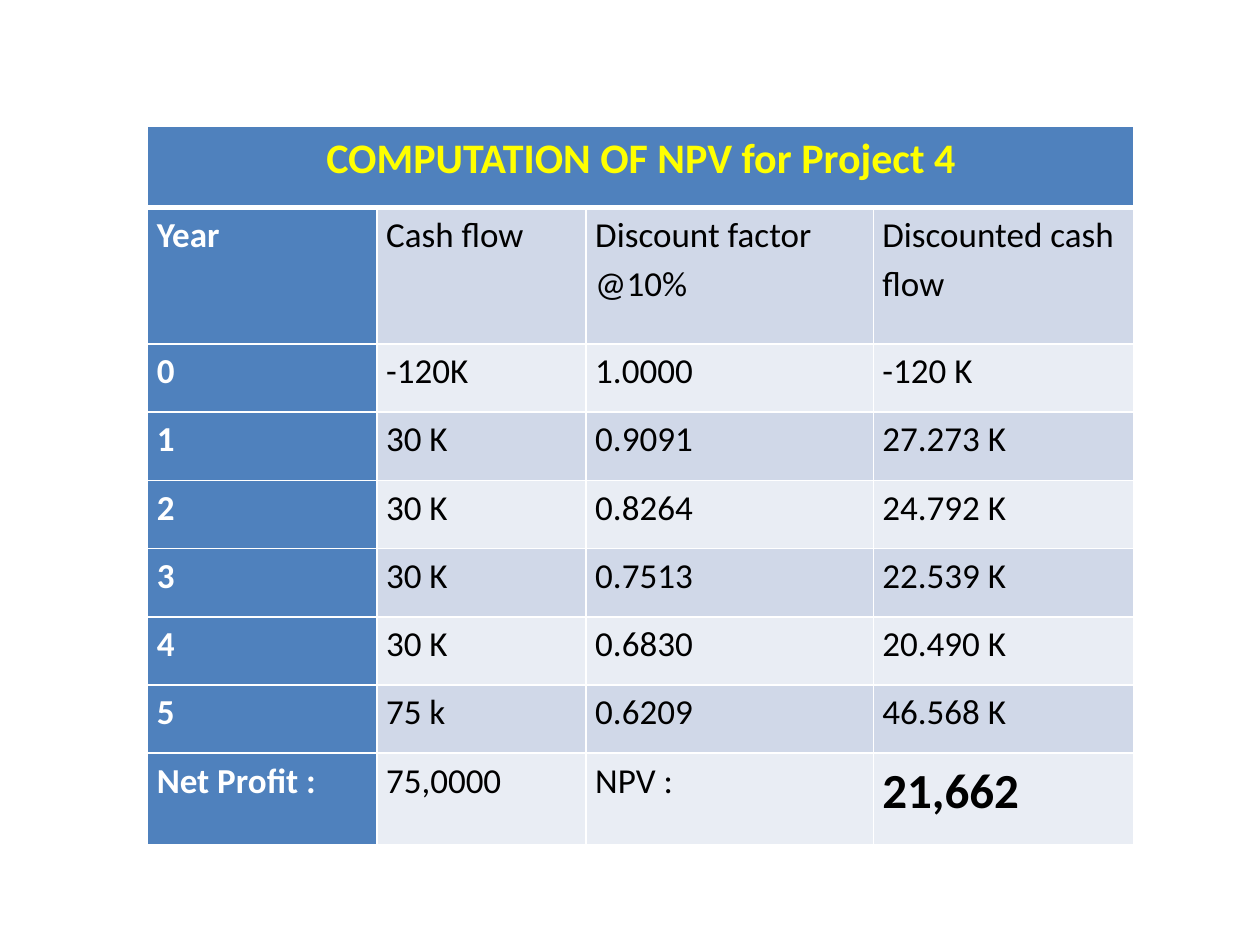
"""Build a slide with a net present value table."""
from dataclasses import dataclass

from lxml import etree
from pptx import Presentation
from pptx.dml.color import RGBColor
from pptx.enum.text import PP_ALIGN
from pptx.oxml.ns import qn
from pptx.table import Table
from pptx.util import Pt

CENTER, LEFT = PP_ALIGN.CENTER, PP_ALIGN.LEFT
BLUE = RGBColor(0x4F, 0x81, 0xBD)
DARK = RGBColor(0xD0, 0xD8, 0xE8)
PALE = RGBColor(0xE9, 0xED, 0xF4)
WHITE = RGBColor(0xFF, 0xFF, 0xFF)
BLACK = RGBColor(0x00, 0x00, 0x00)
YELLOW = RGBColor(0xFF, 0xFF, 0x00)
FONT = "Calibri"
TITLE = "COMPUTATION OF NPV for Project 4"
WIDTHS = (131.1, 119.5, 164.1, 149.1)


@dataclass(frozen=True)
class Row:
    texts: tuple[str, ...]
    height: float = 39
    before: float = 0


@dataclass(frozen=True)
class Style:
    fill: RGBColor
    color: RGBColor
    size: float = 20
    bold: bool = False
    align: PP_ALIGN = LEFT


HEAD = Style(BLUE, YELLOW, 24, True, CENTER)
LABEL = Style(BLUE, WHITE, bold=True)
ROWS = (
    Row((TITLE, "", "", ""), 46.6),
    Row(("Year", "Cash flow", "Discount factor @10%", "Discounted cash flow"), 78),
    Row(("0", "-120K", "1.0000", "-120 K")),
    Row(("1", "30 K", "0.9091", "27.273 K")),
    Row(("2", "30 K", "0.8264", "24.792 K")),
    Row(("3", "30 K", "0.7513", "22.539 K")),
    Row(("4", "30 K", "0.6830", "20.490 K")),
    Row(("5", "75 k", "0.6209", "46.568 K")),
    Row(("Net Profit :", "75,0000", "NPV :", "21,662"), 52.2, 10),
)


def pick(row: int, col: int) -> Style:
    if row == 0:
        return HEAD
    if col == 0:
        return LABEL
    fill = DARK if row % 2 else PALE
    if (row, col) == (len(ROWS) - 1, len(WIDTHS) - 1):
        return Style(fill, BLACK, 28, True)
    return Style(fill, BLACK)


def edge(cell, side: str, width: float) -> None:
    line = etree.SubElement(cell._tc.get_or_add_tcPr(), qn(f"a:ln{side}"), w=str(Pt(width)))
    fill = etree.SubElement(line, qn("a:solidFill"))
    etree.SubElement(fill, qn("a:srgbClr"), val=str(WHITE))


def draw(table: Table, row: int, col: int) -> None:
    cell, data, style = table.cell(row, col), ROWS[row], pick(row, col)
    thick = {(0, "B"), (1, "T")}
    for side in "LRTB":
        edge(cell, side, 3 if (row, side) in thick else 1)
    cell.fill.solid()
    cell.fill.fore_color.rgb = style.fill
    cell.margin_left = cell.margin_right = Pt(5.2)
    cell.margin_top = cell.margin_bottom = 0
    if not data.texts[col]:
        return
    para = cell.text_frame.paragraphs[0]
    para.alignment = style.align
    para.line_spacing = 1.15
    para.space_before = Pt(data.before)
    run = para.add_run()
    run.text = data.texts[col]
    font = run.font
    font.name, font.size, font.bold = FONT, Pt(style.size), style.bold
    font.color.rgb = style.color


def main() -> None:
    deck = Presentation()
    deck.slide_width, deck.slide_height = Pt(720), Pt(540)
    slide = deck.slides.add_slide(deck.slide_layouts[6])
    high = sum(row.height for row in ROWS)
    frame = slide.shapes.add_table(
        len(ROWS), len(WIDTHS), Pt(84.4), Pt(72), Pt(sum(WIDTHS)), Pt(high))
    table = frame.table
    table.first_col = True
    for col, width in zip(table.columns, WIDTHS):
        col.width = Pt(width)
    for line, row in zip(table.rows, ROWS):
        line.height = Pt(row.height)
    table.cell(0, 0).merge(table.cell(0, len(WIDTHS) - 1))
    for row in range(len(ROWS)):
        for col in range(len(WIDTHS)):
            draw(table, row, col)
    deck.save("out.pptx")


if __name__ == "__main__":
    main()
